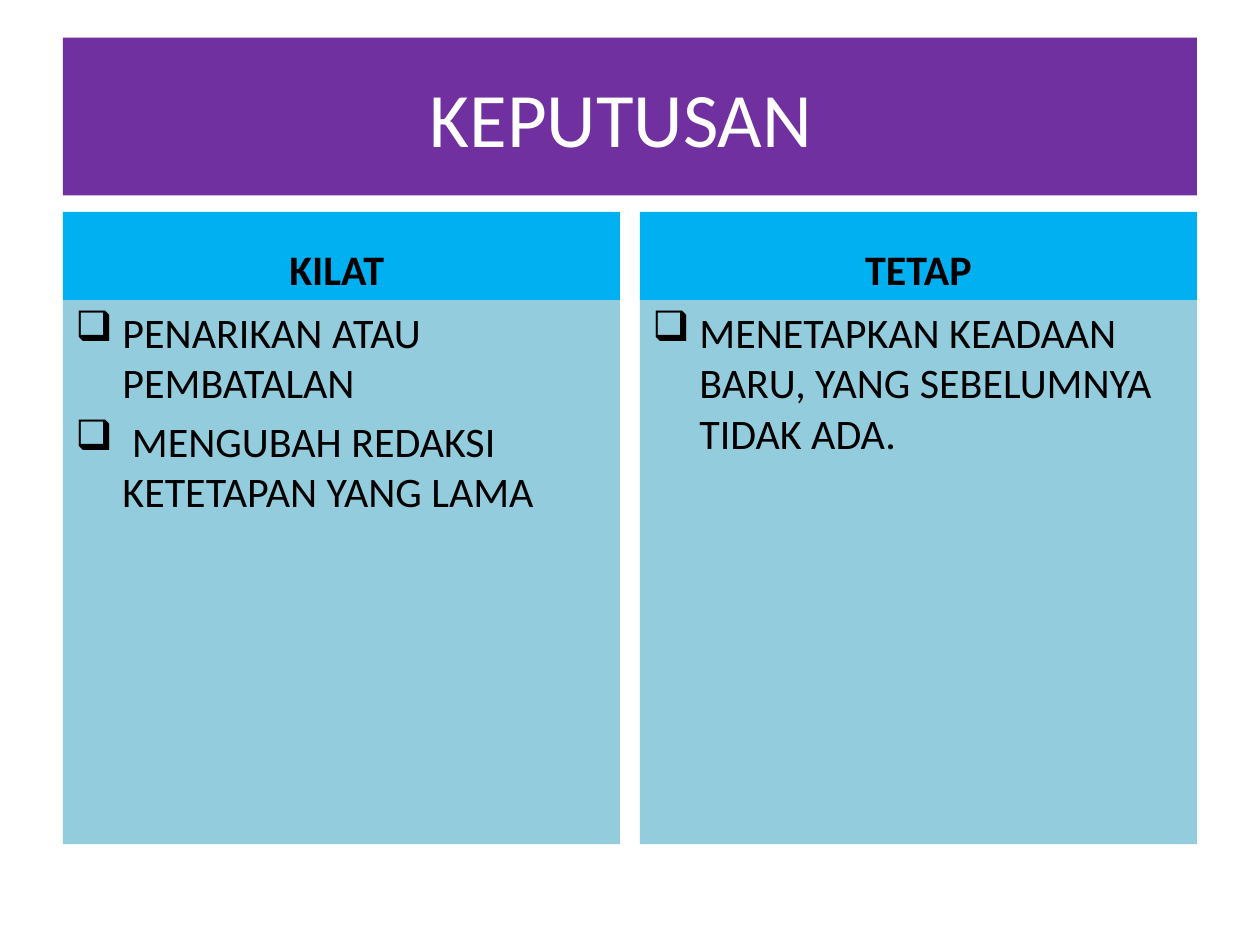
"""Build the KEPUTUSAN slide: a title band above two headed columns."""
from dataclasses import dataclass

from lxml import etree
from pptx import Presentation
from pptx import util as u
from pptx.dml import color
from pptx.enum import shapes, text
from pptx.oxml import ns


@dataclass(frozen=True)
class Theme:
    font: str = "Calibri"
    title_size: int = 44
    body_size: int = 24
    title_fill: str = "7030A0"
    head_fill: str = "00B0F0"
    body_fill: str = "93CDDD"
    light: str = "FFFFFF"
    dark: str = "000000"


class Deck:
    def __init__(self, s, theme):
        self.s, self.theme = s, theme

    def box(self, box, fill, lines, size, ink, anchor, align, bold=False):
        sp = self.s.shapes.add_shape(
            shapes.MSO_SHAPE.RECTANGLE, *(u.Cm(v) for v in box))
        sp.shadow.inherit = False
        sp.fill.solid()
        sp.fill.fore_color.rgb = color.RGBColor.from_string(fill)
        sp.line.fill.background()
        tf = sp.text_frame
        tf.word_wrap = True
        tf.vertical_anchor = anchor
        tf.text = "\n".join(lines)
        for p in tf.paragraphs:
            p.alignment = align
            for r in p.runs:
                r.font.name = self.theme.font
                r.font.size = u.Pt(size)
                r.font.bold = bold
                r.font.color.rgb = color.RGBColor.from_string(ink)
        return tf

    def title(self, box, line):
        t = self.theme
        self.box(box, t.title_fill, [line], t.title_size, t.light,
                 text.MSO_ANCHOR.MIDDLE, text.PP_ALIGN.CENTER)

    def heading(self, box, line):
        t = self.theme
        self.box(box, t.head_fill, [line], t.body_size, t.dark,
                 text.MSO_ANCHOR.BOTTOM, text.PP_ALIGN.CENTER, bold=True)

    def bullets(self, box, lines):
        t = self.theme
        tf = self.box(box, t.body_fill, lines, t.body_size, t.dark,
                      text.MSO_ANCHOR.TOP, text.PP_ALIGN.LEFT)
        indent = u.Cm(0.95)
        for i, p in enumerate(tf.paragraphs):
            pPr = p._p.get_or_add_pPr()
            pPr.set("marL", str(indent))
            pPr.set("indent", str(-indent))
            etree.SubElement(pPr, ns.qn("a:buChar")).set("char", "❑")
            if i:
                p.space_before = u.Pt(0.2 * t.body_size)


def main():
    prs = Presentation()
    prs.slide_width, prs.slide_height = u.Cm(25.4), u.Cm(19.05)
    deck = Deck(prs.slides.add_slide(prs.slide_layouts[6]), Theme())

    left, width, col_width = 1.27, 22.86, 11.23
    head_top, head_height, body_height = 4.27, 1.78, 10.97
    columns = [
        ("KILAT ", ["PENARIKAN ATAU PEMBATALAN",
                    " MENGUBAH REDAKSI KETETAPAN YANG LAMA"]),
        ("TETAP", ["MENETAPKAN KEADAAN BARU, YANG SEBELUMNYA TIDAK ADA."]),
    ]
    deck.title((left, 0.76, width, 3.18), "KEPUTUSAN ")
    for i, (head, lines) in enumerate(columns):
        x = left + i * (width - col_width)
        deck.heading((x, head_top, col_width, head_height), head)
        deck.bullets((x, head_top + head_height, col_width, body_height), lines)
    prs.save("out.pptx")


if __name__ == "__main__":
    main()
